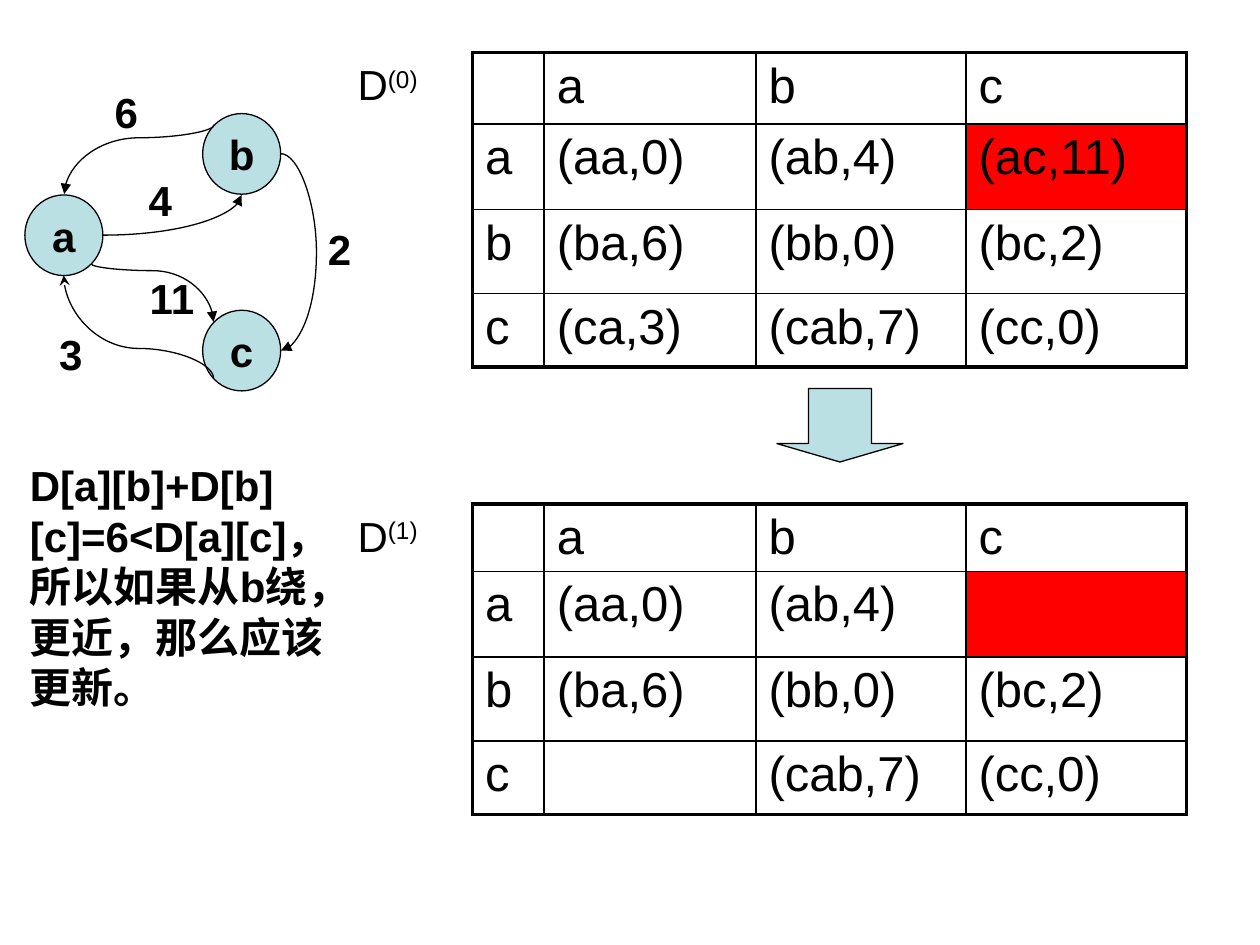
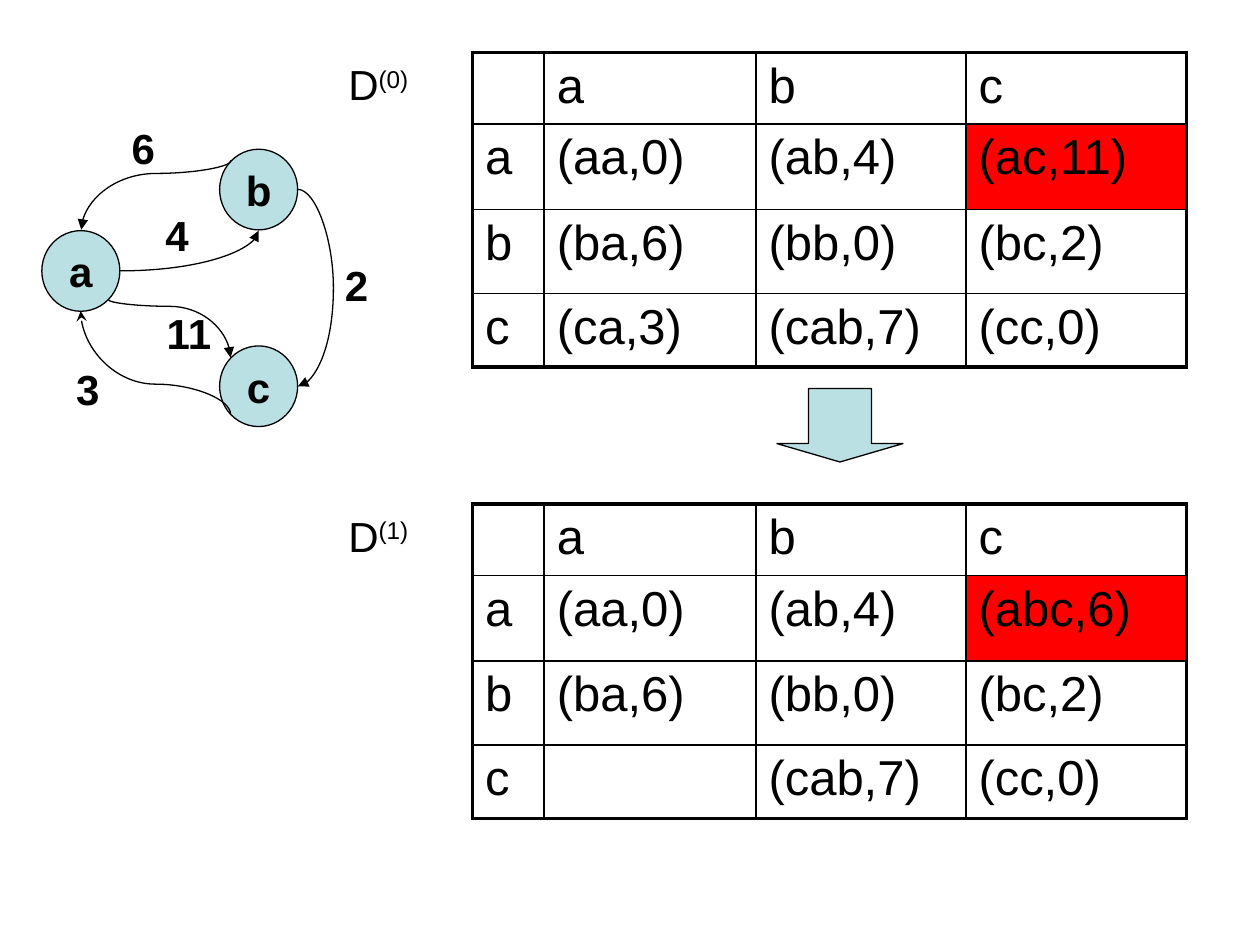
from dataclasses import dataclass
from typing import Any

from lxml import etree
from pptx import Presentation
from pptx.dml.color import RGBColor
from pptx.enum import shapes, text
from pptx.oxml import ns
from pptx.util import Pt

BLACK = RGBColor(0x00, 0x00, 0x00)
RED = RGBColor(0xFF, 0x00, 0x00)
TEAL = RGBColor(0xBB, 0xE0, 0xE3)
FONT = "Arial"
THIN, THICK, HAIR = 1, 2.25, 0.75
LEFT, TOP, NEXT = 270, 30, 288
COLS = (41, 121, 120, 126)
ROWS = (36, 49, 48, 42)
NODE = (44.6, 46.1)


@dataclass(frozen=True)
class Node:
    name: str
    x: float
    y: float


@dataclass(frozen=True)
class Edge:
    """Box before turning, flips ("h", "v"), turn in degrees and bend in percent."""
    x: float
    y: float
    w: float
    h: float
    flip: str = ""
    turn: int = 0
    bend: float | None = None
    end: str = "tailEnd"
    tip: str = "triangle"


@dataclass(frozen=True)
class Label:
    words: str
    x: float
    y: float
    w: float = 38.2


@dataclass(frozen=True)
class Page:
    """What differs between the slides: graph shift, matrix names, result and note."""
    dx: float
    dy: float
    name: float
    found: str
    note: str = ""


NODES = (Node("a", 14.2, 111.4), Node("b", 115.8, 64.9), Node("c", 115.8, 177.3))
EDGES = (
    Edge(58.7, 111.4, 79.4, 23, "v"),
    Edge(59.8, 48.2, 39.6, 85.7, "hv", 270, 18.8),
    Edge(70.6, 132.5, 33.1, 69.8, "h", 270, 11.6),
    Edge(49.7, 144, 59, 85.7, "h", 270, 70.8, "headEnd", "stealth"),
    Edge(160.4, 87.8, 0.13, 112.5, bend=14400),
)
LABELS = (
    Label("11", 78.5, 152, 44), Label("6", 58.5, 45.9), Label("4", 77.8, 96),
    Label("2", 180.3, 124.4), Label("3", 26.8, 184),
)
PAGES = (
    Page(0, 0, 197.3, "",
         "D[a][b]+D[b][c]=6<D[a][c]，所以如果从b绕，更近，那么应该更新。"),
    Page(9.7, 20.4, 192, "(abc,6)"),
)


def add(parent: Any, tag: str, **attrs: str) -> Any:
    node = etree.SubElement(parent, ns.qn(tag))
    for key, value in attrs.items():
        node.set(key, value)
    return node


def space(para: Any, percent: int) -> None:
    """Set the space before a paragraph as a share of its line."""
    before = add(para._p.get_or_add_pPr(), "a:spcBef")
    add(before, "a:spcPct", val=str(percent * 1000))


def write(para: Any, words: str, size: int = 24, bold: bool = False) -> Any:
    run = para.add_run()
    run.text = words
    run.font.size, run.font.bold, run.font.name = Pt(size), bold, FONT
    run.font.color.rgb = BLACK
    return run


def box(tree: Any, x: float, y: float, w: float, h: float) -> Any:
    """Add a growing text box and return its first paragraph."""
    frame = tree.add_textbox(Pt(x), Pt(y), Pt(w), Pt(h)).text_frame
    frame.word_wrap = True
    frame.auto_size = text.MSO_AUTO_SIZE.SHAPE_TO_FIT_TEXT
    space(frame.paragraphs[0], 50)
    return frame.paragraphs[0]


def form(tree: Any, kind: Any, x: float, y: float, w: float, h: float) -> Any:
    shape = tree.add_shape(kind, Pt(x), Pt(y), Pt(w), Pt(h))
    shape.shadow.inherit = False
    shape.fill.solid()
    shape.fill.fore_color.rgb = TEAL
    shape.line.color.rgb, shape.line.width = BLACK, Pt(HAIR)
    return shape


def link(tree: Any, edge: Edge, dx: float, dy: float) -> None:
    xs = [edge.x + dx, edge.x + dx + edge.w]
    ys = [edge.y + dy, edge.y + dy + edge.h]
    if "h" in edge.flip:
        xs.reverse()
    if "v" in edge.flip:
        ys.reverse()
    line = tree.add_connector(shapes.MSO_CONNECTOR.CURVE,
                              Pt(xs[0]), Pt(ys[0]), Pt(xs[1]), Pt(ys[1]))
    line.line.color.rgb, line.line.width = BLACK, Pt(HAIR)
    add(line.line._get_or_add_ln(), f"a:{edge.end}", type=edge.tip)
    props = line._element.spPr
    add(props, "a:effectLst")
    props.find(ns.qn("a:xfrm")).set("rot", str(edge.turn * 60000))
    geom = props.find(ns.qn("a:prstGeom"))
    if edge.bend is None:
        geom.set("prst", "curvedConnector2")
    else:
        guides = geom.find(ns.qn("a:avLst"))
        add(guides, "a:gd", name="adj1", fmla=f"val {round(edge.bend * 1000)}")


def graph(slide: Any, dx: float, dy: float) -> None:
    tree = slide.shapes.add_group_shape().shapes
    for node in NODES:
        shape = form(tree, shapes.MSO_SHAPE.OVAL, node.x + dx, node.y + dy, *NODE)
        frame = shape.text_frame
        frame.word_wrap = False
        frame.vertical_anchor = text.MSO_ANCHOR.MIDDLE
        frame.paragraphs[0].alignment = text.PP_ALIGN.CENTER
        write(frame.paragraphs[0], node.name, bold=True)
    for edge in EDGES:
        link(tree, edge, dx, dy)
    for label in LABELS:
        para = box(tree, label.x + dx, label.y + dy, label.w, 40)
        write(para, label.words, bold=True)


def frame(cell: Any, row: int, col: int) -> None:
    """Draw cell borders, thick along the outside of the table."""
    props = cell._tc.get_or_add_tcPr()
    outer = {"L": col == 0, "R": col == len(COLS) - 1,
             "T": row == 0, "B": row == len(ROWS) - 1}
    for side, edge in outer.items():
        line = add(props, f"a:ln{side}", w=str(Pt(THICK if edge else THIN)))
        add(add(line, "a:solidFill"), "a:srgbClr", val=str(BLACK))


def grid(slide: Any, top: float, high: float, ac: str, ca: str) -> None:
    """Add a distance matrix; the entries ac and ca vary."""
    values = (
        ("", "a", "b", "c"),
        ("a", "(aa,0)", "(ab,4)", ac),
        ("b", "(ba,6)", "(bb,0)", "(bc,2)"),
        ("c", ca, "(cab,7)", "(cc,0)"),
    )
    holder = slide.shapes.add_table(len(ROWS), len(COLS), Pt(LEFT), Pt(top),
                                    Pt(sum(COLS)), Pt(high))
    table = holder.table
    table.first_row = table.horz_banding = False
    for col, width in zip(table.columns, COLS):
        col.width = Pt(width)
    for row, height in zip(table.rows, ROWS):
        row.height = Pt(height)
    holder.height = Pt(high)
    for r, line in enumerate(values):
        for c, words in enumerate(line):
            cell = table.cell(r, c)
            frame(cell, r, c)
            if (r, c) == (1, 3):
                cell.fill.solid()
                cell.fill.fore_color.rgb = RED
            else:
                cell.fill.background()
            if words:
                para = cell.text_frame.paragraphs[0]
                space(para, 20)
                write(para, words, 28)


def title(slide: Any, x: float, y: float, step: int) -> None:
    """Name a matrix with its step number raised."""
    para = box(slide.shapes, x, y, 72, 36)
    write(para, "D")
    power = write(para, f"({step})")
    power._r.get_or_add_rPr().set("baseline", "30000")


def build(deck: Any, page: Page) -> None:
    slide = deck.slides.add_slide(deck.slide_layouts[6])
    grid(slide, NEXT, 177, page.found, "")
    title(slide, page.name, NEXT, 1)
    form(slide.shapes, shapes.MSO_SHAPE.DOWN_ARROW, 444, 222, 72, 42).adjustments[1] = 0.25
    grid(slide, TOP, 180, "(ac,11)", "(ca,3)")
    title(slide, page.name, TOP, 0)
    if page.note:
        write(box(slide.shapes, 10, 259.2, 191.5, 152.6), page.note, bold=True)
    graph(slide, page.dx, page.dy)


def main() -> None:
    deck = Presentation()
    deck.slide_width, deck.slide_height = Pt(720), Pt(540)
    for page in PAGES:
        build(deck, page)
    deck.save("out.pptx")


if __name__ == "__main__":
    main()
